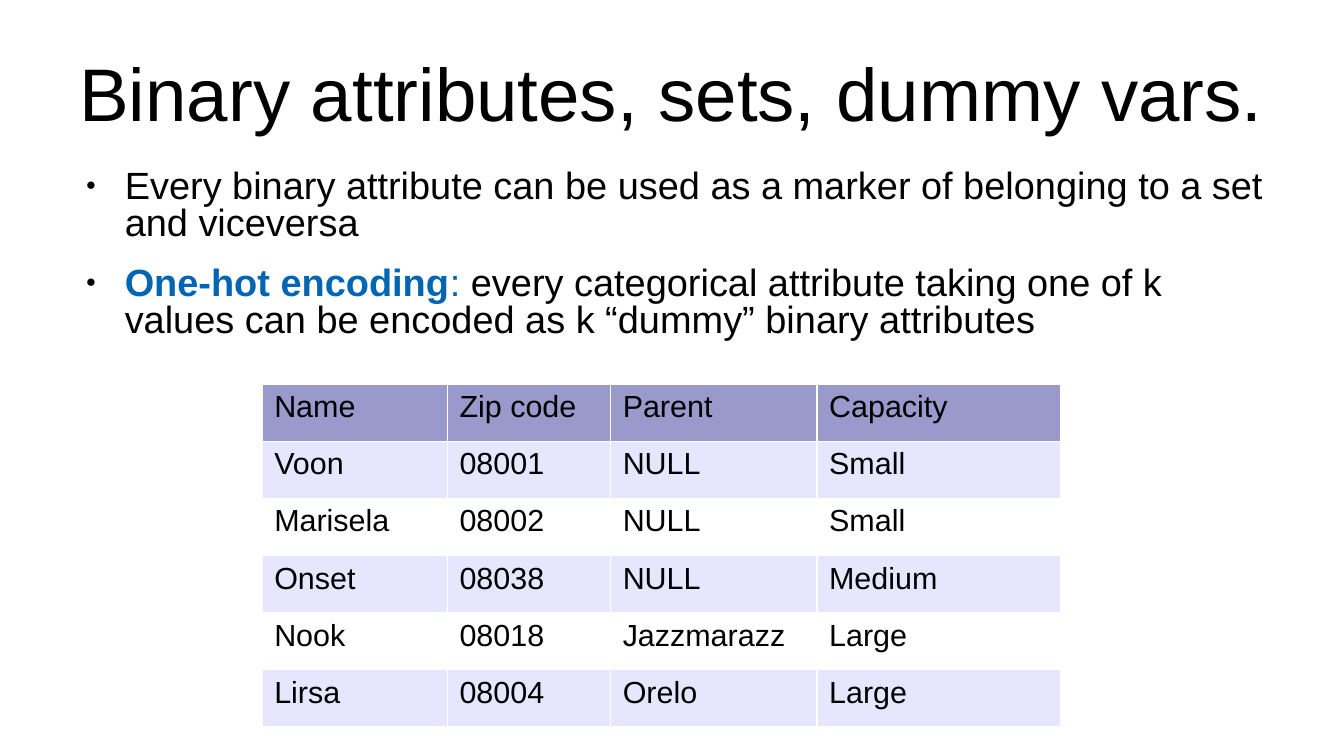
from dataclasses import dataclass

from lxml import etree
from pptx import Presentation
from pptx.dml.color import RGBColor as Rgb
from pptx.enum.text import MSO_ANCHOR as Anchor, PP_ALIGN as Align
from pptx.oxml.ns import qn
from pptx.util import Cm, Pt


@dataclass(frozen=True)
class Theme:
    font: str = "Arial"
    ink: str = "000000"
    accent: str = "0066B3"
    header: str = "9999CC"
    band: str = "E6E6FF"
    paper: str = "FFFFFF"
    title_size: float = 44
    body_size: float = 22.4
    table_size: float = 18


THEME = Theme()


def write(para, text, size, color=THEME.ink, bold=False):
    span = para.add_run()
    span.text = text
    span.font.name = THEME.font
    span.font.size = Pt(size)
    span.font.bold = bold
    span.font.color.rgb = Rgb.from_string(color)


def add_child(parent, tag, **attributes):
    return etree.SubElement(parent, qn(tag), attributes)


def add_bullet(para):
    """Give the paragraph a small hanging round bullet."""
    props = para._p.get_or_add_pPr()
    props.set("marL", str(Cm(1.2)))
    props.set("indent", str(-Cm(0.81)))
    add_child(add_child(props, "a:buClr"), "a:srgbClr", val=THEME.ink)
    add_child(props, "a:buSzPct", val="45000")
    add_child(props, "a:buFont", typeface=THEME.font)
    add_child(props, "a:buChar", char="●")


def add_borders(cell):
    props = cell._tc.get_or_add_tcPr()
    for side in ("a:lnL", "a:lnR", "a:lnT", "a:lnB"):
        line = add_child(props, side, w=str(Pt(0.75)))
        add_child(add_child(line, "a:solidFill"), "a:srgbClr", val=THEME.paper)


class SlideBuilder:
    def __init__(self, page, theme):
        self.page = page
        self.theme = theme

    def text_frame(self, left, top, width, height, anchor=Anchor.TOP):
        box = self.page.shapes.add_textbox(Cm(left), Cm(top), Cm(width), Cm(height))
        frame = box.text_frame
        frame.word_wrap = True
        frame.vertical_anchor = anchor
        frame.margin_left = frame.margin_right = 0
        frame.margin_top = frame.margin_bottom = 0
        return frame

    def title(self, text, *place):
        para = self.text_frame(*place, anchor=Anchor.MIDDLE).paragraphs[0]
        para.alignment = Align.CENTER
        write(para, text, self.theme.title_size)

    def bullets(self, items, *place):
        """Each item is a list of (text, format) pairs."""
        frame = self.text_frame(*place)
        for index, spans in enumerate(items):
            para = frame.add_paragraph() if index else frame.paragraphs[0]
            add_bullet(para)
            para.line_spacing = 0.8
            if index:
                para.space_before = Pt(14.2)
            for text, style in spans:
                write(para, text, self.theme.body_size, **style)

    def table(self, rows, left, top, widths, row_height):
        table = self.page.shapes.add_table(
            len(rows), len(widths), Cm(left), Cm(top),
            Cm(sum(widths)), Cm(row_height * len(rows))).table
        table.first_row = table.horz_banding = False
        for column, width in zip(table.columns, widths):
            column.width = Cm(width)
        for row_index, row in enumerate(rows):
            if row_index == 0:
                fill = self.theme.header
            else:
                fill = self.theme.band if row_index % 2 else self.theme.paper
            table.rows[row_index].height = Cm(row_height)
            for column_index, text in enumerate(row):
                cell = table.cell(row_index, column_index)
                add_borders(cell)
                cell.fill.solid()
                cell.fill.fore_color.rgb = Rgb.from_string(fill)
                write(cell.text_frame.paragraphs[0], text, self.theme.table_size)


BULLETS = [
    [("Every binary attribute can be used as a marker of belonging to a set "
      "and viceversa", {})],
    [("One-hot encoding", {"color": THEME.accent, "bold": True}),
     (":", {"color": THEME.accent}),
     (" every categorical attribute taking one of k values can be encoded "
      "as k “dummy” binary attributes", {})],
]

VENUES = [
    ("Name", "Zip code", "Parent", "Capacity"),
    ("Voon", "08001", "NULL", "Small"),
    ("Marisela", "08002", "NULL", "Small"),
    ("Onset", "08038", "NULL", "Medium"),
    ("Nook", "08018", "Jazzmarazz", "Large"),
    ("Lirsa", "08004", "Orelo", "Large"),
]


def main():
    deck = Presentation()
    deck.slide_width, deck.slide_height = Cm(28), Cm(15.75)
    page = deck.slides.add_slide(deck.slide_layouts[6])
    builder = SlideBuilder(page, THEME)
    builder.title("Binary attributes, sets, dummy vars.", 1.4, 0.03, 25.2, 3.78)
    builder.bullets(BULLETS, 1.4, 3.56, 25.2, 6.4)
    builder.table(VENUES, 5.46, 8, widths=(3.86, 3.4, 4.3, 5.08), row_height=1.19)
    deck.save("out.pptx")


if __name__ == "__main__":
    main()
